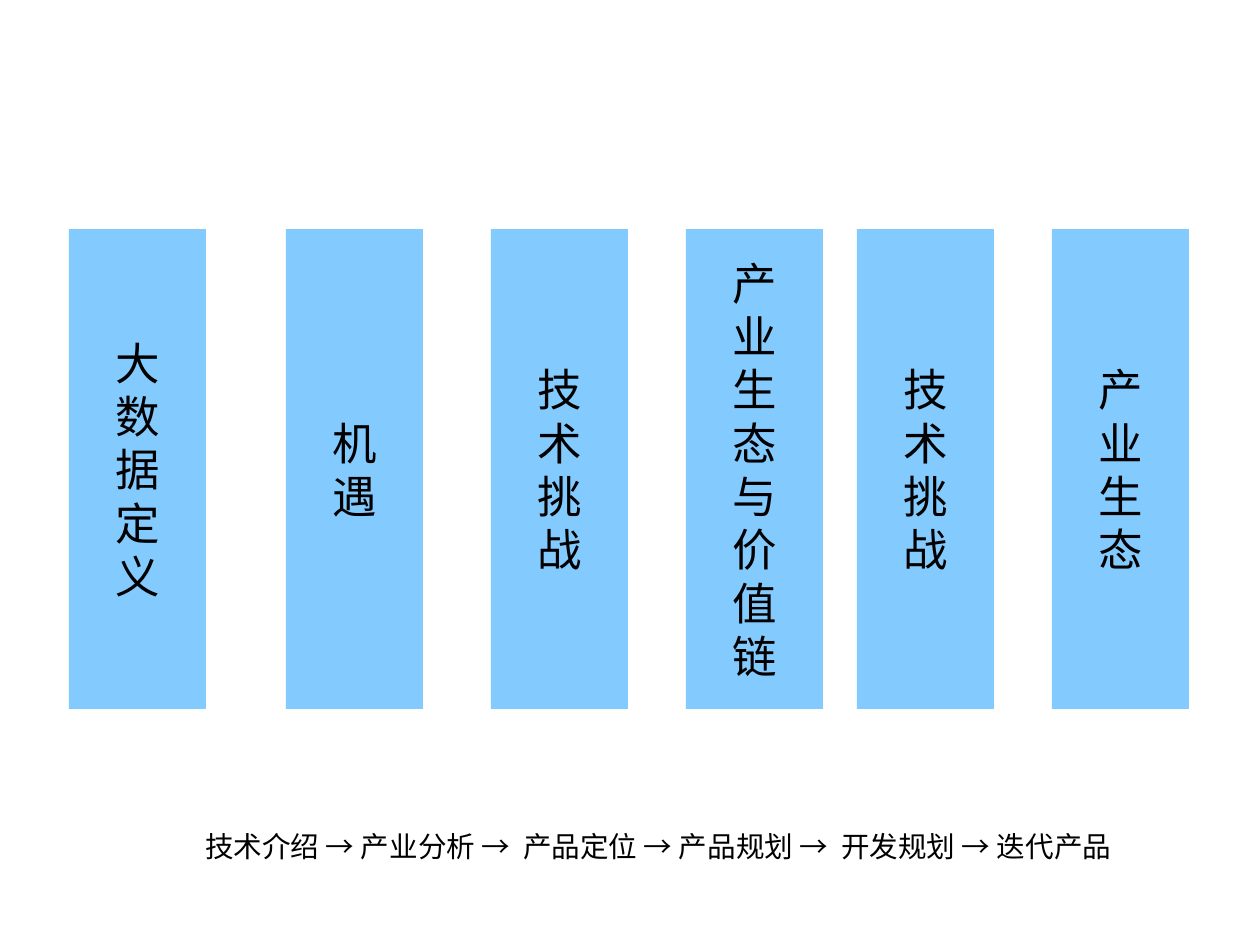
import pptx
import pptx.util
import pptx.dml.color
import pptx.enum.shapes
import pptx.enum.text

SKY = pptx.dml.color.RGBColor(0x83, 0xCA, 0xFF)
BLACK = pptx.dml.color.RGBColor(0, 0, 0)
FONT = "Arial"
EMU_PER_PX = 8000  # a 28 by 21 cm page is 1260 by 945 px


def px(length):
    return pptx.util.Emu(length * EMU_PER_PX)


class SlideBuilder:
    def __init__(self, width, height):
        self.deck = pptx.Presentation()
        self.deck.slide_width = px(width)
        self.deck.slide_height = px(height)
        self.page = self.deck.slides.add_slide(self.deck.slide_layouts[6])

    def span(self, para, text, size, spacing=0):
        span = para.add_run()
        span.text = text
        span.font.name = FONT
        span.font.size = pptx.util.Pt(size)
        span.font.color.rgb = BLACK
        if spacing:
            span._r.get_or_add_rPr().set("spc", str(spacing))

    def pillar(self, left, top, width, height, label):
        """A filled column with its label set one character a line."""
        box = self.page.shapes.add_shape(
            pptx.enum.shapes.MSO_SHAPE.RECTANGLE,
            px(left), px(top), px(width), px(height))
        box.shadow.inherit = False
        box.fill.solid()
        box.fill.fore_color.rgb = SKY
        box.line.fill.background()
        frame = box.text_frame
        frame.word_wrap = True
        frame.vertical_anchor = pptx.enum.text.MSO_ANCHOR.MIDDLE
        for index, character in enumerate(label):
            para = frame.add_paragraph() if index else frame.paragraphs[0]
            para.alignment = pptx.enum.text.PP_ALIGN.CENTER
            self.span(para, character, 28)

    def step_line(self, left, top, width, height, steps):
        """Steps joined by arrows; the gap after every second arrow is wider."""
        box = self.page.shapes.add_textbox(
            px(left), px(top), px(width), px(height))
        box.text_frame.word_wrap = True
        para = box.text_frame.paragraphs[0]
        for index, step in enumerate(steps):
            if index:
                self.span(para, " →", 18)
                self.span(para, " ", 18, spacing=0 if index % 2 else 420)
            self.span(para, step, 18)


def main():
    builder = SlideBuilder(1260, 945)

    # Topic pillars
    pillars = [(69, "大数据定义"), (286, "机遇"), (491, "技术挑战"),
               (686, "产业生态与价值链"), (857, "技术挑战"), (1052, "产业生态")]
    for left, label in pillars:
        builder.pillar(left, 229, 137, 480, label)

    # Process line
    builder.step_line(194, 823, 941, 53, [
        "技术介绍", "产业分析", "产品定位", "产品规划", "开发规划", "迭代产品"])

    builder.deck.save("out.pptx")


if __name__ == "__main__":
    main()
